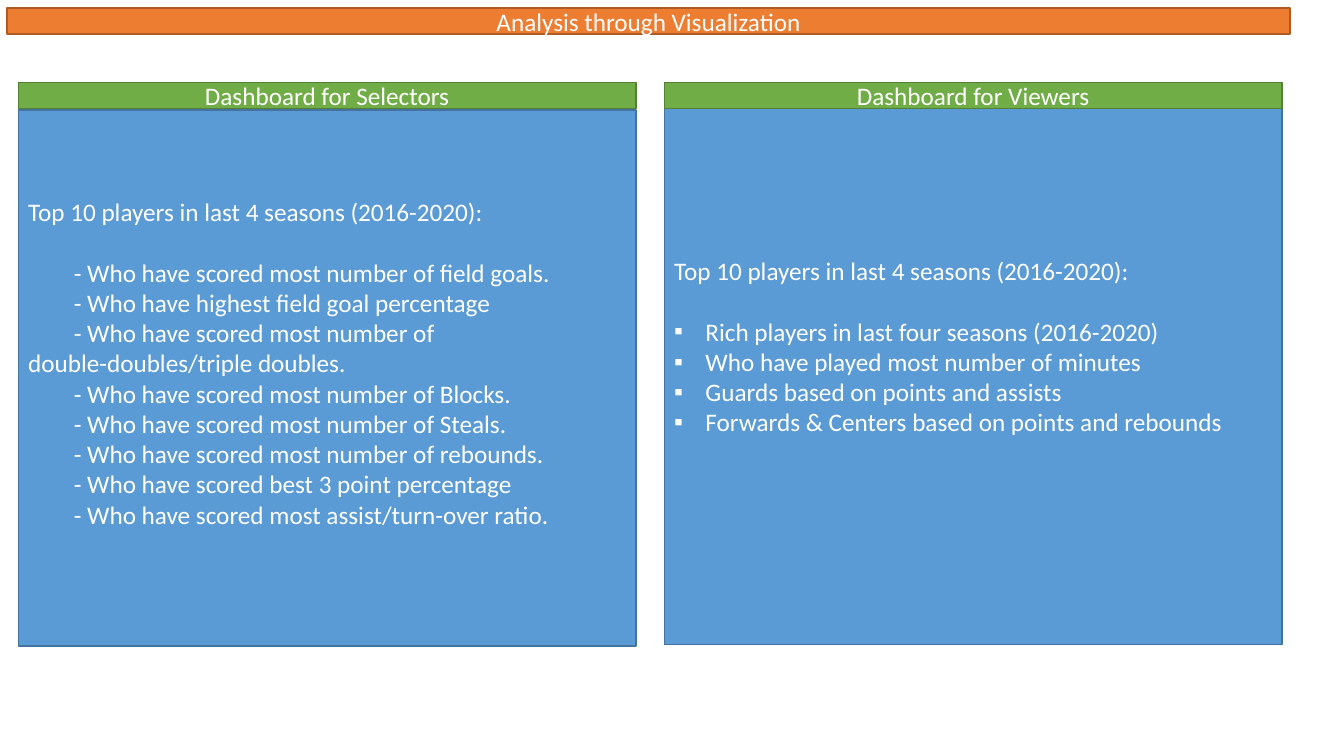
from lxml import etree
from pptx import Presentation
from pptx.dml.color import RGBColor
from pptx.enum.shapes import MSO_SHAPE
from pptx.enum.text import MSO_ANCHOR, PP_ALIGN
from pptx.oxml.ns import qn
from pptx.util import Cm, Pt

RECT = MSO_SHAPE.RECTANGLE
MIDDLE = MSO_ANCHOR.MIDDLE
LEFT, CENTER = PP_ALIGN.LEFT, PP_ALIGN.CENTER

WHITE = RGBColor(0xFF, 0xFF, 0xFF)
ORANGE, ORANGE_EDGE = RGBColor(0xED, 0x7D, 0x31), RGBColor(0xAF, 0x5C, 0x24)
GREEN, GREEN_EDGE = RGBColor(0x70, 0xAD, 0x47), RGBColor(0x53, 0x80, 0x35)
BLUE, BLUE_EDGE = RGBColor(0x5B, 0x9B, 0xD5), RGBColor(0x43, 0x73, 0x9E)

LINE_HEIGHT = Pt(22)
BAR_HEIGHT = 0.66
PANEL_WIDTH, PANEL_HEIGHT = 15.57, 13.51
HEADER_TOP = 2.08
INTRO = "Top 10 players in last 4 seasons (2016-2020):"

SELECTOR_ITEMS = [
    "- Who have scored most number of field goals.",
    "- Who have highest field goal percentage",
    "- Who have scored most number of double-doubles/triple doubles.",
    "- Who have scored most number of Blocks.",
    "- Who have scored most number of Steals.",
    "- Who have scored most number of rebounds.",
    "- Who have scored best 3 point percentage",
    "- Who have scored most assist/turn-over ratio.",
]
VIEWER_ITEMS = [
    "Rich players in last four seasons (2016-2020)",
    "Who have played most number of minutes",
    "Guards based on points and assists",
    "Forwards & Centers based on points and rebounds",
]


def write(p, text, font="Calibri", size=18, color=WHITE, align=LEFT,
          after=0, margin=0, indent=0, bullet=None):
    """Fill a paragraph with formatted text."""
    p.alignment = align
    p.space_after = after
    pPr = p._p.get_or_add_pPr()
    pPr.set("marL", str(Cm(margin)))
    pPr.set("indent", str(Cm(indent)))
    if bullet:
        etree.SubElement(pPr, qn("a:buFont")).set("typeface", "Arial")
        etree.SubElement(pPr, qn("a:buChar")).set("char", bullet)
    r = p.add_run()
    r.text = text
    r.font.name, r.font.size = font, Pt(size)
    r.font.color.rgb = color


class Deck:
    """Hold the current slide and the style of its boxes."""

    def __init__(self, slide, line_width=1):
        """Set the slide and the outline width."""
        self.s = slide
        self.line_width = Pt(line_width)

    def box(self, x, y, w, h, fill, edge):
        """Add a filled rectangle and return its text frame."""
        sp = self.s.shapes.add_shape(RECT, Cm(x), Cm(y), Cm(w), Cm(h))
        sp.shadow.inherit = False
        sp.fill.solid()
        sp.fill.fore_color.rgb = fill
        sp.line.color.rgb = edge
        sp.line.width = self.line_width
        tf = sp.text_frame
        tf.word_wrap = True
        tf.vertical_anchor = MIDDLE
        return tf

    def bar(self, text, x, y, w, fill, edge):
        """Add a thin bar with a centred heading."""
        tf = self.box(x, y, w, BAR_HEIGHT, fill, edge)
        write(tf.paragraphs[0], text, align=CENTER)

    def panel(self, x, y, items, lift, **item_format):
        """Add a panel whose text is raised by a number of lines."""
        tf = self.box(x, y, PANEL_WIDTH, PANEL_HEIGHT, BLUE, BLUE_EDGE)
        tf.margin_bottom += lift * LINE_HEIGHT
        write(tf.paragraphs[0], INTRO, after=LINE_HEIGHT)
        for item in items:
            write(tf.add_paragraph(), item, **item_format)


prs = Presentation()
prs.slide_width, prs.slide_height = Cm(33.87), Cm(19.05)
deck = Deck(prs.slides.add_slide(prs.slide_layouts[6]))

deck.bar("Analysis through Visualization", 0.18, 0.2, 32.33, ORANGE, ORANGE_EDGE)

dashboards = [
    ("Selectors", 0.46, 2.77, SELECTOR_ITEMS, 1, {"indent": 1.15}),
    ("Viewers", 16.74, 2.74, VIEWER_ITEMS, 2,
     {"margin": 0.79, "indent": -0.79, "bullet": "▪"}),
]
for audience, x, top, items, lift, item_format in dashboards:
    deck.panel(x, top, items, lift, **item_format)
    deck.bar(f"Dashboard for {audience}", x, HEADER_TOP, PANEL_WIDTH, GREEN, GREEN_EDGE)

prs.save("out.pptx")
